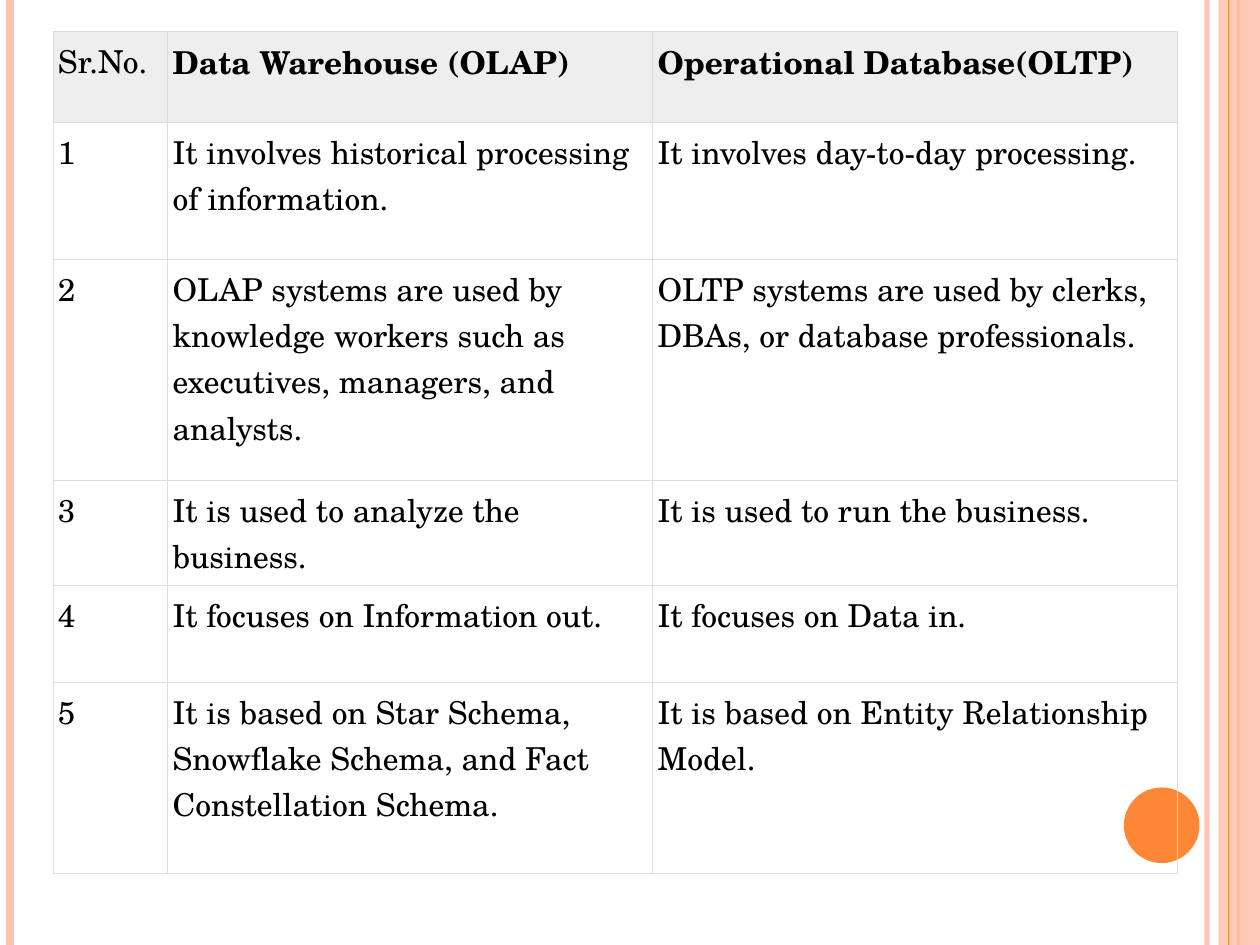
from lxml.etree import SubElement
from pptx import Presentation
from pptx.dml.color import RGBColor
from pptx.enum.shapes import MSO_CONNECTOR as CONN, MSO_SHAPE as SHAPE
from pptx.enum.text import PP_ALIGN as ALIGN
from pptx.oxml.ns import qn
from pptx.util import Inches, Pt

COLORS = {"peach": "FEC3AE", "orange": "FE8637", "header": "EEEEEE",
          "border": "DDDDDD", "text": "000000"}
FONT = "TeX Gyre Schola"
WIDTH, HEIGHT = 10, 7.5

BACK_LINES = [(9.58, "peach", 3, 93), (0.08, "peach", 4.5, 100), (9.83, "orange", 1.5, 100)]
FRONT_LINES = [(9.75, "orange", 0.75, 100)]
BAND = (SHAPE.RECTANGLE, 9.67, 0, 0.33, HEIGHT, "peach", 87)
DOT = (SHAPE.OVAL, 8.92, 6.25, 0.6, 0.6, "orange", 100)

COL_WIDTHS = [0.91, 3.85, 4.16]
ROW_HEIGHTS = [0.72, 1.09, 1.75, 0.82, 0.77, 1.52]
ROWS = [
    ("Sr.No.", "Data Warehouse (OLAP)", "Operational Database(OLTP)"),
    ("1", "It involves historical processing of information.",
     "It involves day-to-day processing."),
    ("2", "OLAP systems are used by knowledge workers such as executives, managers, and analysts.",
     "OLTP systems are used by clerks, DBAs, or database professionals."),
    ("3", "It is used to analyze the business.", "It is used to run the business."),
    ("4", "It focuses on Information out.", "It focuses on Data in."),
    ("5", "It is based on Star Schema, Snowflake Schema, and Fact Constellation Schema.",
     "It is based on Entity Relationship Model."),
]


def rgb(name):
    return RGBColor.from_string(COLORS[name])


def set_alpha(element, percent):
    if percent < 100:
        color = next(element.iter(qn("a:srgbClr")))
        SubElement(color, qn("a:alpha"), val=str(percent * 1000))


def add_line(s, x, color, width, alpha):
    line = s.shapes.add_connector(CONN.STRAIGHT, Inches(x), 0, Inches(x), Inches(HEIGHT))
    line.line.color.rgb = rgb(color)
    line.line.width = Pt(width)
    props = line._element.spPr
    set_alpha(props, alpha)
    SubElement(props, qn("a:effectLst"))


def add_decoration(s, kind, x, y, w, h, color, alpha):
    sp = s.shapes.add_shape(kind, *map(Inches, (x, y, w, h)))
    sp.shadow.inherit = False
    sp.fill.solid()
    sp.fill.fore_color.rgb = rgb(color)
    sp.line.fill.background()
    set_alpha(sp._element.spPr, alpha)


def set_borders(cell):
    props = cell._tc.get_or_add_tcPr()
    for i, side in enumerate(("lnL", "lnR", "lnT", "lnB")):
        ln = props.makeelement(qn(f"a:{side}"), {"w": str(Pt(0.34))})
        props.insert(i, ln)
        fill = SubElement(ln, qn("a:solidFill"))
        SubElement(fill, qn("a:srgbClr"), val=COLORS["border"])


def fill_cell(cell, text, is_header, is_bold, align):
    cell.margin_left = cell.margin_right = Inches(0.04)
    cell.margin_top = cell.margin_bottom = Inches(0.05)
    if is_header:
        cell.fill.solid()
        cell.fill.fore_color.rgb = rgb("header")
    else:
        cell.fill.background()
    set_borders(cell)
    p = cell.text_frame.paragraphs[0]
    p.text = text
    p.alignment = align
    p.font.name = FONT
    p.font.size = Pt(18)
    p.font.bold = is_bold
    p.font.color.rgb = rgb("text")


def add_comparison(s):
    frame = s.shapes.add_table(len(ROWS), len(COL_WIDTHS), Inches(0.42), Inches(0.25),
                               Inches(sum(COL_WIDTHS)), Inches(sum(ROW_HEIGHTS)))
    table = frame.table
    table.first_row = table.horz_banding = False
    for column, width in zip(table.columns, COL_WIDTHS):
        column.width = Inches(width)
    for i, (row, height) in enumerate(zip(table.rows, ROW_HEIGHTS)):
        row.height = Inches(height)
        for j, text in enumerate(ROWS[i]):
            align = ALIGN.JUSTIFY if i == 0 or j == 0 else ALIGN.LEFT
            fill_cell(table.cell(i, j), text, i == 0, i == 0 and j > 0, align)


def main():
    """Build the OLAP and OLTP comparison slide."""
    prs = Presentation()
    prs.slide_width, prs.slide_height = Inches(WIDTH), Inches(HEIGHT)
    s = prs.slides.add_slide(prs.slide_layouts[6])
    for line in BACK_LINES:
        add_line(s, *line)
    add_decoration(s, *BAND)
    for line in FRONT_LINES:
        add_line(s, *line)
    add_decoration(s, *DOT)
    add_comparison(s)
    prs.save("out.pptx")


if __name__ == "__main__":
    main()
